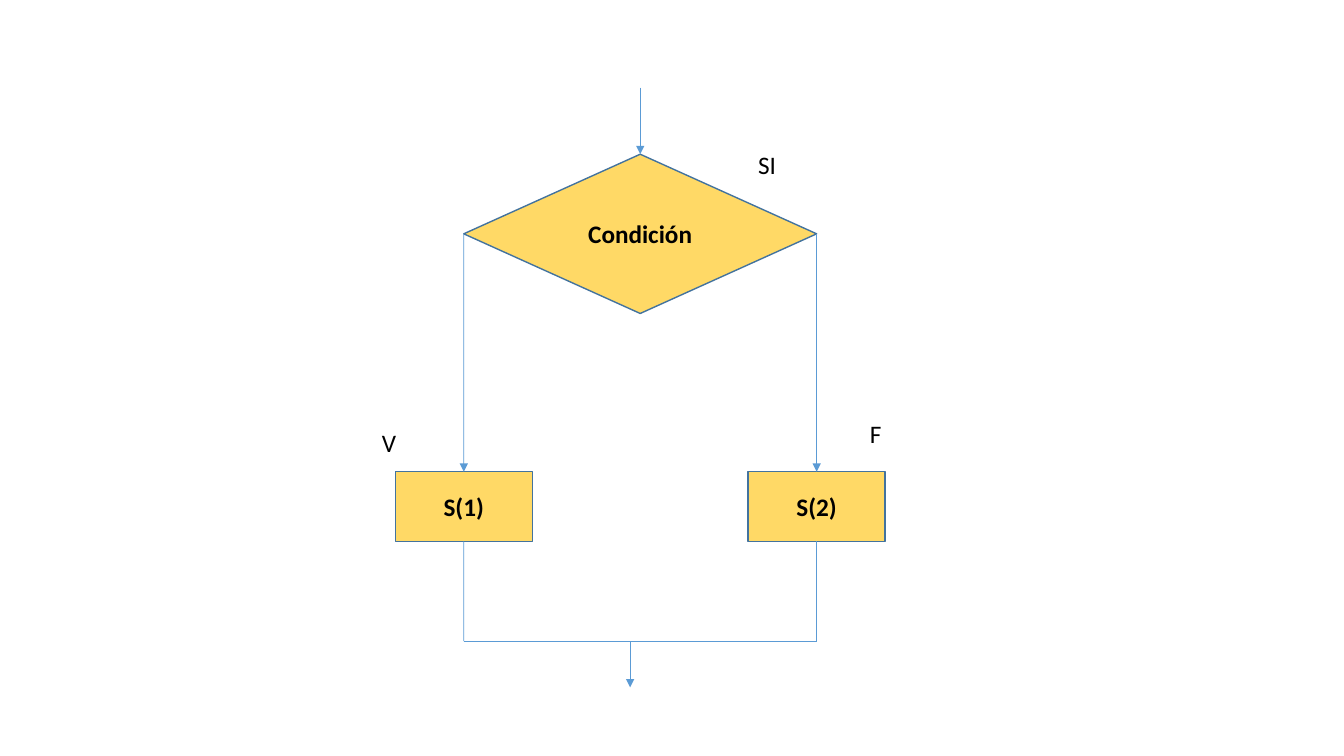
import pptx
import pptx.dml.color
import pptx.enum.shapes
import pptx.enum.text
import pptx.oxml
import pptx.util

In, Pt = pptx.util.Inches, pptx.util.Pt
SHAPE = pptx.enum.shapes.MSO_SHAPE
TOP, LEFT, BOTTOM, RIGHT = range(4)

THEME = {
    "font": "Calibri", "size": 18, "text": "000000",
    "fill": "FFD966", "outline": "43739E", "outline_width": 1,
    "arrow": "5B9BD5", "arrow_width": 0.5,
}

CONDITION = "Condición"
BRANCHES = [("S(1)", LEFT), ("S(2)", RIGHT)]
# text, left, top, width, wraps
LABELS = [("SI", 7.42, 1.43, 0.38, False),
          ("V", 3.69, 4.19, 0.52, True),
          ("F", 8.53, 4.1, 0.52, True)]
LABEL_H = 0.4

# Layout in inches: one centre column with a branch on each side
CENTRE_X, BRANCH_DX, EXIT_X = 6.35, 1.75, 6.25
DIAMOND_H, BOX_W, BOX_H = 1.58, 1.36, 0.69
ENTRY_Y, DIAMOND_Y, BOX_Y, MERGE_Y, EXIT_Y = 0.87, 1.53, 4.68, 6.36, 6.82


def rgb(name):
    return pptx.dml.color.RGBColor.from_string(THEME[name])


def write(tf, text, bold=False):
    tf.text = text
    font = tf.paragraphs[0].runs[0].font
    font.name, font.size, font.bold = THEME["font"], Pt(THEME["size"]), bold
    font.color.rgb = rgb("text")


def add_node(slide, kind, text, centre_x, top, width, height):
    sp = slide.shapes.add_shape(kind, In(centre_x - width / 2), In(top), In(width), In(height))
    sp.shadow.inherit = False
    sp.fill.solid()
    sp.fill.fore_color.rgb = rgb("fill")
    sp.line.color.rgb = rgb("outline")
    sp.line.width = Pt(THEME["outline_width"])
    tf = sp.text_frame
    write(tf, text, bold=True)
    tf.vertical_anchor = pptx.enum.text.MSO_ANCHOR.MIDDLE
    tf.paragraphs[0].alignment = pptx.enum.text.PP_ALIGN.CENTER
    return sp


def add_line(slide, x1, y1, x2, y2, begin=None, end=None, arrow=True):
    """Draw a line; begin and end are optional (shape, side) joins."""
    c = slide.shapes.add_connector(pptx.enum.shapes.MSO_CONNECTOR.STRAIGHT,
                                   In(x1), In(y1), In(x2), In(y2))
    c.line.color.rgb = rgb("arrow")
    c.line.width = Pt(THEME["arrow_width"])
    if arrow:
        ln = c.line._get_or_add_ln()
        ln.append(pptx.oxml.parse_xml(
            f'<a:tailEnd {pptx.oxml.ns.nsdecls("a")} type="triangle"/>'))
    c._element.spPr.append(pptx.oxml.parse_xml(
        f'<a:effectLst {pptx.oxml.ns.nsdecls("a")}/>'))
    if begin:
        c.begin_connect(*begin)
    if end:
        c.end_connect(*end)


def add_label(slide, text, left, top, width, wraps):
    tf = slide.shapes.add_textbox(In(left), In(top), In(width), In(LABEL_H)).text_frame
    tf.word_wrap = wraps
    write(tf, text)


def main():
    prs = pptx.Presentation()
    prs.slide_width, prs.slide_height = In(13.33), In(7.5)
    slide = prs.slides.add_slide(prs.slide_layouts[6])

    diamond = add_node(slide, SHAPE.FLOWCHART_DECISION, CONDITION,
                       CENTRE_X, DIAMOND_Y, 2 * BRANCH_DX, DIAMOND_H)
    add_line(slide, CENTRE_X, ENTRY_Y, CENTRE_X, DIAMOND_Y, end=(diamond, TOP))

    for text, side in BRANCHES:
        x = CENTRE_X + (BRANCH_DX if side == RIGHT else -BRANCH_DX)
        box = add_node(slide, SHAPE.RECTANGLE, text, x, BOX_Y, BOX_W, BOX_H)
        add_line(slide, x, DIAMOND_Y + DIAMOND_H / 2, x, BOX_Y,
                 begin=(diamond, side), end=(box, TOP))
        add_line(slide, x, BOX_Y + BOX_H, x, MERGE_Y, begin=(box, BOTTOM), arrow=False)
        add_line(slide, x, MERGE_Y, EXIT_X, MERGE_Y, arrow=False)

    add_line(slide, EXIT_X, MERGE_Y, EXIT_X, EXIT_Y)
    for label in LABELS:
        add_label(slide, *label)

    prs.save("out.pptx")


if __name__ == "__main__":
    main()
